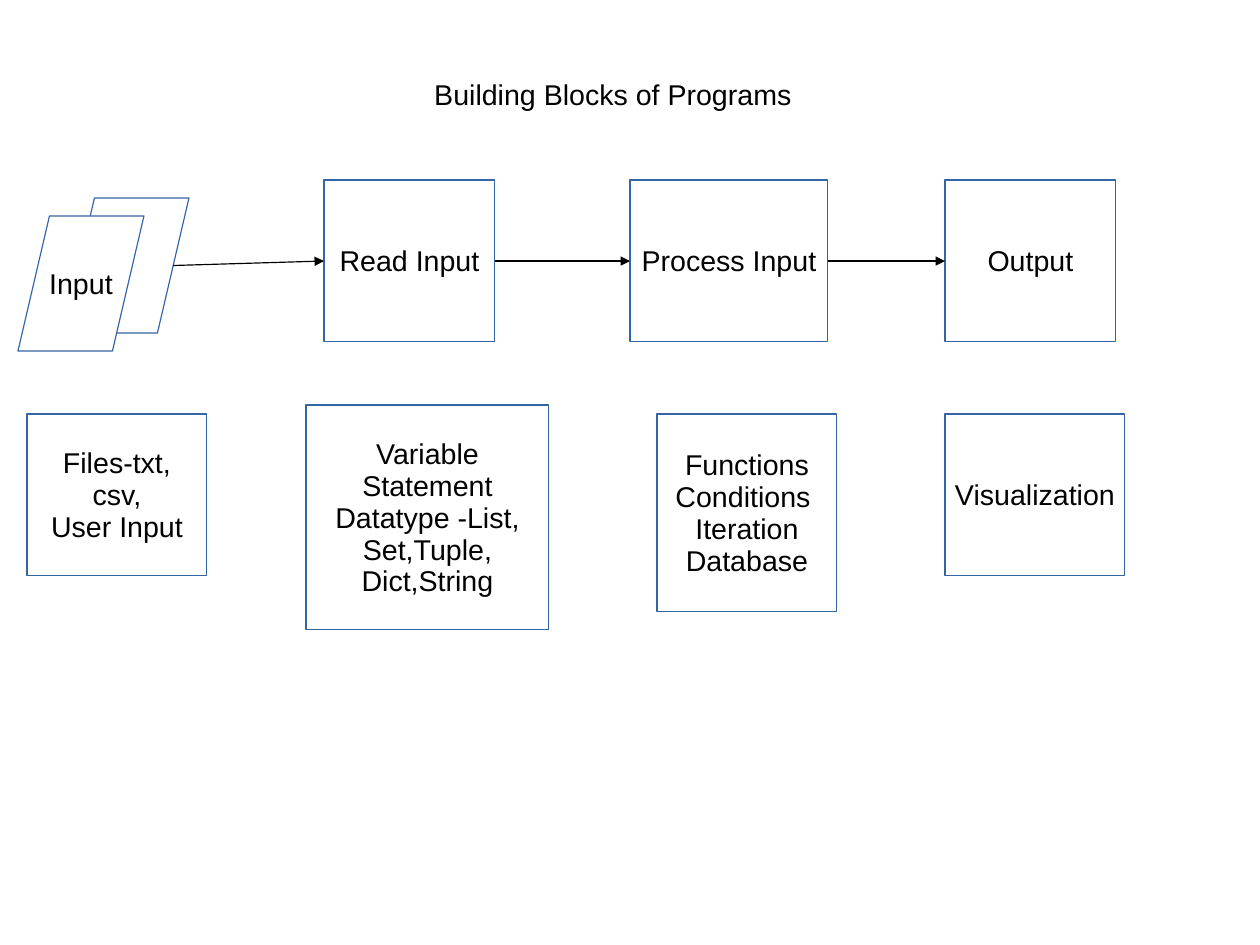
from lxml import etree
from pptx import Presentation
from pptx.dml.color import RGBColor
from pptx.enum.shapes import MSO_CONNECTOR, MSO_SHAPE
from pptx.enum.text import MSO_ANCHOR, MSO_AUTO_SIZE, PP_ALIGN
from pptx.oxml.ns import qn
from pptx.util import Pt

PX = 3600
SLIDE_WIDTH, SLIDE_HEIGHT = 2800, 2100
WHITE = RGBColor(0xFF, 0xFF, 0xFF)
BLACK = RGBColor(0x00, 0x00, 0x00)
BLUE = RGBColor(0x34, 0x65, 0xA4)
FONT = "Arial"
RECTANGLE = MSO_SHAPE.RECTANGLE
PARALLELOGRAM = MSO_SHAPE.PARALLELOGRAM
STRAIGHT = MSO_CONNECTOR.STRAIGHT
TOP, MIDDLE = MSO_ANCHOR.TOP, MSO_ANCHOR.MIDDLE
LEFT, CENTER = PP_ALIGN.LEFT, PP_ALIGN.CENTER
NO_AUTOFIT = MSO_AUTO_SIZE.NONE
LEFT_SITE, RIGHT_SITE = 1, 3
SLANT = 0.25

TITLE_BOX = (940, 160, 1200, 168)
INPUT_BOX = (40, 440, 380, 340)
STEPS = [
    ("Read Input", (720, 400, 380, 360)),
    ("Process Input", (1400, 400, 440, 360)),
    ("Output", (2100, 400, 380, 360)),
]
DETAILS = [
    ("Files-txt,\ncsv,\nUser Input", (60, 920, 400, 360)),
    ("Variable\nStatement\nDatatype -List,\nSet,Tuple,\nDict,String", (680, 900, 540, 500)),
    ("Functions\nConditions \nIteration\nDatabase", (1460, 920, 400, 440)),
    ("Visualization", (2100, 920, 400, 360)),
]


def to_emu(*lengths):
    """Turn px lengths into EMU."""
    return [round(length * PX) for length in lengths]


def write_text(shape, text, alignment, anchor, wrap):
    """Set and format the text of a shape."""
    frame = shape.text_frame
    frame.text = text
    frame.auto_size = NO_AUTOFIT
    frame.word_wrap = wrap
    frame.vertical_anchor = anchor
    frame.margin_left, frame.margin_top, frame.margin_right, frame.margin_bottom = to_emu(25, 18, 25, 13)
    for paragraph in frame.paragraphs:
        paragraph.alignment = alignment
        paragraph.line_spacing = 0.93
        paragraph.space_before = Pt(0)
        for run in paragraph.runs:
            run.font.name = FONT
            run.font.size = Pt(18)
            run.font.color.rgb = BLACK


def add_title(slide, box):
    """Place the title placeholder in the box."""
    title = slide.shapes.title
    title.left, title.top, title.width, title.height = to_emu(*box)
    write_text(title, "Building Blocks of Programs", LEFT, TOP, True)


def add_block(slide, box, text="", kind=RECTANGLE):
    """Add a white block with a blue outline and centred text."""
    block = slide.shapes.add_shape(kind, *to_emu(*box))
    block.shadow.inherit = False
    block.fill.solid()
    block.fill.fore_color.rgb = WHITE
    block.line.color.rgb = BLUE
    block.line.width = Pt(0.75)
    if text:
        write_text(block, text, CENTER, MIDDLE, False)
    return block


def add_input_sheets(slide, box):
    """Add two overlapping sheets and return the back one's right edge point."""
    left, top, width, height = box
    shift_x, shift_y = 100, 40
    sheet_width, sheet_height = width - shift_x, height - shift_y
    back_left = left + shift_x
    for sheet_left, sheet_top, text in ((back_left, top, ""), (left, top + shift_y, "Input")):
        sheet = add_block(slide, (sheet_left, sheet_top, sheet_width, sheet_height), text, PARALLELOGRAM)
        sheet.adjustments[0] = SLANT
    return back_left + sheet_width * (1 - SLANT / 2), top + sheet_height / 2


def add_arrow(slide, start, target, source=None):
    """Add an arrow from a start point to a step, tied to its source if given."""
    arrow = slide.shapes.add_connector(STRAIGHT, *to_emu(*start, *start))
    if source is not None:
        arrow.begin_connect(source, RIGHT_SITE)
    arrow.end_connect(target, LEFT_SITE)
    arrow.line.color.rgb = BLACK
    arrow.line.width = Pt(0.75)
    properties = arrow._element.spPr
    etree.SubElement(properties.find(qn("a:ln")), qn("a:tailEnd"), type="triangle")
    etree.SubElement(properties, qn("a:effectLst"))


def add_flow(slide):
    """Add the input sheets and the steps joined by arrows."""
    start = add_input_sheets(slide, INPUT_BOX)
    source = None
    for text, box in STEPS:
        step = add_block(slide, box, text)
        add_arrow(slide, start, step, source)
        source = step


def add_details(slide):
    """Add the row of blocks that explain each step."""
    for text, box in DETAILS:
        add_block(slide, box, text)


def main():
    """Build and save the slide."""
    presentation = Presentation()
    presentation.slide_width, presentation.slide_height = to_emu(SLIDE_WIDTH, SLIDE_HEIGHT)
    slide = presentation.slides.add_slide(presentation.slide_layouts[5])
    add_title(slide, TITLE_BOX)
    add_flow(slide)
    add_details(slide)
    presentation.save("out.pptx")


if __name__ == "__main__":
    main()
